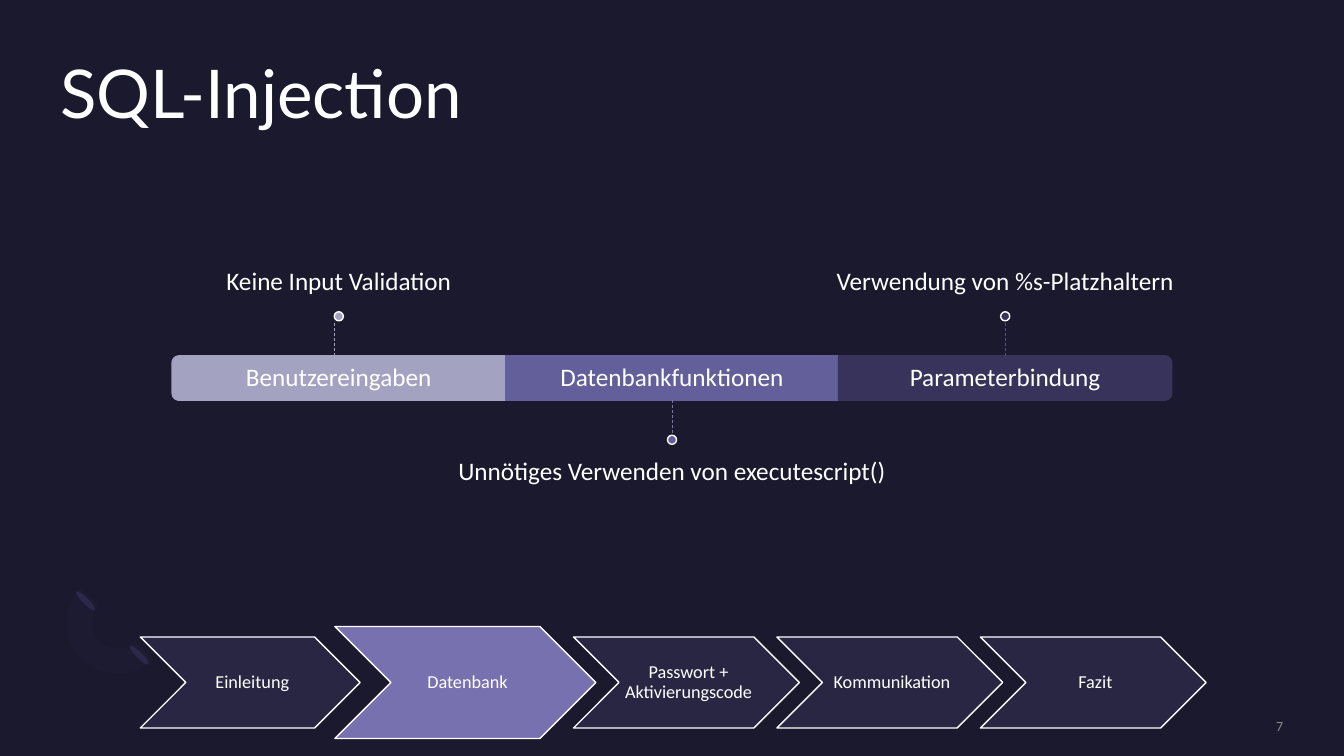
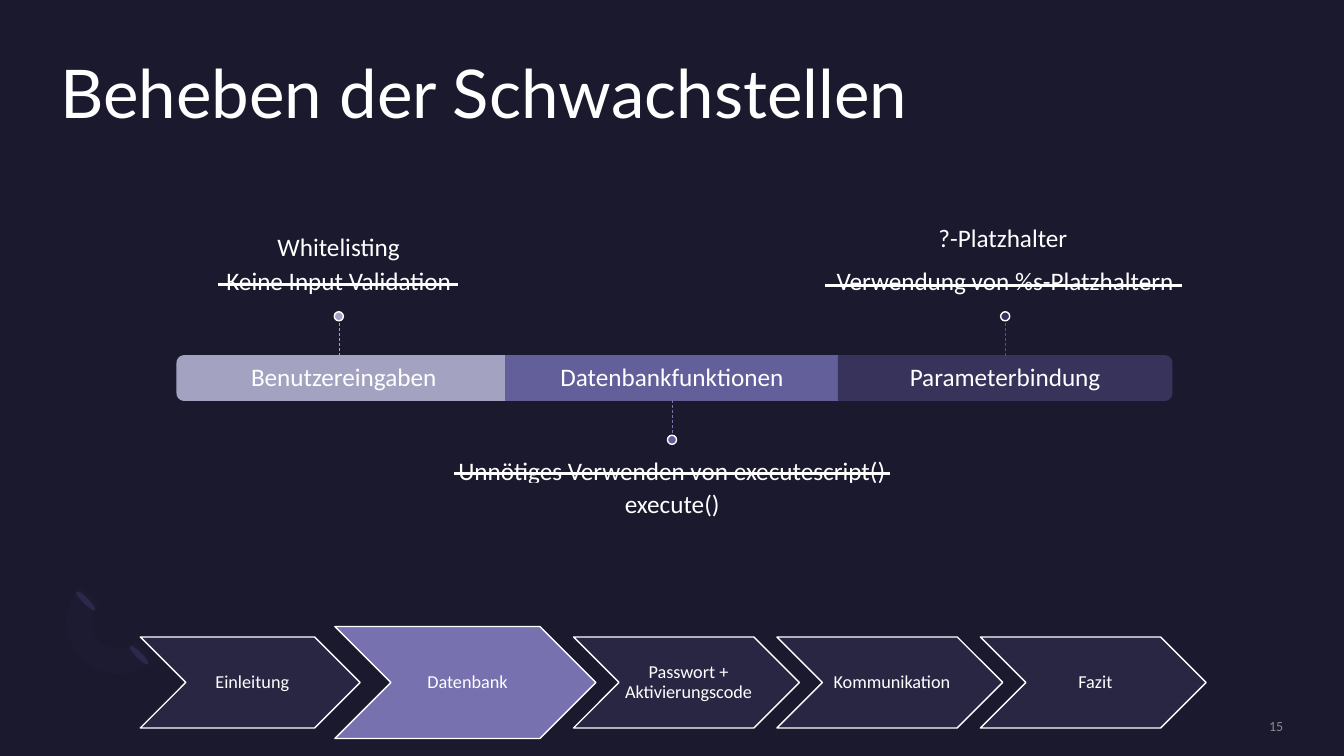
import math

import lxml.etree
import pptx
import pptx.dml.color
import pptx.enum.dml
import pptx.enum.shapes
import pptx.enum.text
import pptx.oxml.ns
import pptx.util

Pt = pptx.util.Pt
SHAPE = pptx.enum.shapes.MSO_SHAPE
ANCHOR = pptx.enum.text.MSO_ANCHOR
ALIGN = pptx.enum.text.PP_ALIGN

COLOURS = {
    "background": "1B192E", "white": "FFFFFF", "number": "8A8A8D",
    "petal": "2C284A", "arc": "1D1B31",
    "stage": "292644", "current": "7871B0",
    "input": "A3A3C1", "database": "625F9A", "binding": "37335B",
    "input stem": "A3A3C1", "database stem": "7775A8", "binding stem": "535086",
}
BAR_LEFT, BAR_TOP, BAR_WIDTH, BAR_HEIGHT, CORNER = 123, 254.2, 238, 31.7, 5
LABEL_WIDTH, LABEL_HEIGHT = 396, 109.4
STEM_LENGTH, DOT_SIZE = 25, 6.5
STAGE_LEFT, STAGE_MIDDLE = 100.2, 487.5

SEGMENTS = [
    {"key": "input", "text": "Benutzereingaben", "label": "Keine Input Validation",
     "above": True, "round": "left", "stem_shift": -3},
    {"key": "database", "text": "Datenbankfunktionen",
     "label": "Unnötiges Verwenden von executescript()",
     "above": False, "round": None, "stem_shift": 0},
    {"key": "binding", "text": "Parameterbindung",
     "label": "Verwendung von %s-Platzhaltern",
     "above": True, "round": "right", "stem_shift": 0},
]
STAGES = [
    ("Einleitung", 157, 18), ("Datenbank", 186.5, 16),
    ("Passwort + Aktivierungscode", 161.3, 16), ("Kommunikation", 161.3, 16),
    ("Fazit", 161.3, 16),
]
CURRENT_STAGE = "Datenbank"
FIXES = [
    ("Whitelisting", (126.7, 161.3, 230.4, 28.8)),
    ("execute()", (296.6, 344.9, 367.2, 28.8)),
    ("?-Platzhalter", (532.8, 155.5, 367.2, 28.8)),
]
STRIKES = [(156, 327, 203), (324, 636, 338.4), (589, 844, 203.8)]


def colour(name):
    """Return the named colour."""
    return pptx.dml.color.RGBColor.from_string(COLOURS[name])


def apply(target, formats):
    """Set each attribute of the target from a dict."""
    for name, value in formats.items():
        setattr(target, name, value)


def paint(shape, fill, line=None):
    """Give a shape a flat fill and an optional one-point line."""
    shape.shadow.inherit = False
    shape.fill.solid()
    shape.fill.fore_color.rgb = colour(fill)
    if line:
        shape.line.color.rgb = colour(line)
        shape.line.width = Pt(1)
    else:
        shape.line.fill.background()


def write(shape, text, size=18, font="Calibri", ink="white", align=ALIGN.CENTER,
          anchor=ANCHOR.MIDDLE, insets=(0, 0, 0, 0), spacing=0.9):
    """Fill a shape with one formatted paragraph."""
    frame = shape.text_frame
    frame.text = text
    sides = ("margin_left", "margin_top", "margin_right", "margin_bottom")
    apply(frame, dict(zip(sides, map(Pt, insets))))
    apply(frame, {"word_wrap": True, "vertical_anchor": anchor,
                  "auto_size": pptx.enum.text.MSO_AUTO_SIZE.NONE})
    paragraph = frame.paragraphs[0]
    apply(paragraph, {"alignment": align, "line_spacing": spacing})
    run = paragraph.runs[0]
    apply(run.font, {"name": font, "size": Pt(size), "bold": False})
    run.font.color.rgb = colour(ink)


def add_preset(slide, kind, box, fill, line=None):
    """Add a painted preset shape."""
    shape = slide.shapes.add_shape(kind, *map(Pt, box))
    paint(shape, fill, line)
    return shape


def add_text(slide, box, text, **formats):
    """Add a text box."""
    write(slide.shapes.add_textbox(*map(Pt, box)), text, **formats)


def add_line(slide, ends, ink, width, dash=None):
    """Add a straight connector without a shadow."""
    line = slide.shapes.add_connector(
        pptx.enum.shapes.MSO_CONNECTOR.STRAIGHT, *map(Pt, ends))
    line.line.color.rgb = colour(ink)
    apply(line.line, {"width": Pt(width), "dash_style": dash})
    properties = line._element.spPr
    lxml.etree.SubElement(properties, pptx.oxml.ns.qn("a:effectLst"))
    return line


def add_ornament(slide):
    """Add the faint ring and its two petals."""
    ring = add_preset(slide, SHAPE.BLOCK_ARC, (47.5, 408.6, 72.7, 72.7), "arc")
    ring.rotation = 225
    for left, top in ((97.2, 458.6), (59, 419.8)):
        petal = add_preset(slide, SHAPE.OVAL, (left, top, 4.3, 18.7), "petal")
        petal.rotation = 135


def add_title(slide, text):
    """Place and format the title placeholder."""
    title = slide.shapes.title
    apply(title, {"left": Pt(43.2), "top": Pt(43.2),
                  "width": Pt(873.4), "height": Pt(105)})
    write(title, text, size=48, font="Lato", align=ALIGN.LEFT, anchor=ANCHOR.TOP)


def bar_outline(left, rounded):
    """Return the outline of a bar with the corners of one side rounded."""
    right, bottom = left + BAR_WIDTH, BAR_TOP + BAR_HEIGHT
    corners = [(left, BAR_TOP, 1, 1, 180, "left"),
               (right, BAR_TOP, -1, 1, 270, "right"),
               (right, bottom, -1, -1, 0, "right"),
               (left, bottom, 1, -1, 90, "left")]
    points = []
    for x, y, inward_x, inward_y, start, side in corners:
        radius = CORNER if side == rounded else 0
        for degrees in range(start, start + 91, 15) if radius else (start,):
            angle = math.radians(degrees)
            points.append((Pt(x + radius * (inward_x + math.cos(angle))),
                           Pt(y + radius * (inward_y + math.sin(angle)))))
    return points


def add_bar(slide, left, segment):
    """Add one segment of the bar."""
    if segment["round"]:
        points = bar_outline(left, segment["round"])
        builder = slide.shapes.build_freeform(*points[0], scale=1.0)
        builder.add_line_segments(points[1:], close=True)
        bar = builder.convert_to_shape()
        paint(bar, segment["key"], segment["key"])
    else:
        box = (left, BAR_TOP, BAR_WIDTH, BAR_HEIGHT)
        bar = add_preset(slide, SHAPE.RECTANGLE, box, segment["key"], segment["key"])
    write(bar, segment["text"])
    return bar


def add_segment(slide, index, segment, shift):
    """Add a bar segment with its label, stem and dot."""
    left = BAR_LEFT + index * BAR_WIDTH
    middle = left + BAR_WIDTH / 2
    bar = add_bar(slide, left + shift, segment)
    if segment["above"]:
        edge, tip = BAR_TOP, BAR_TOP - STEM_LENGTH
        label_top, dot_top = 113, tip - DOT_SIZE
        formats = {"anchor": ANCHOR.BOTTOM, "insets": (0, 0, 0, 10.8)}
    else:
        edge = BAR_TOP + BAR_HEIGHT
        tip = dot_top = edge + STEM_LENGTH
        label_top = 316.8
        formats = {"anchor": ANCHOR.TOP, "insets": (0, 10.8, 0, 0)}
    label_box = (middle - LABEL_WIDTH / 2, label_top, LABEL_WIDTH, LABEL_HEIGHT)
    add_text(slide, label_box, segment["label"], **formats)
    stem_x = middle + shift + segment["stem_shift"]
    stem = add_line(slide, (stem_x, edge, stem_x, tip), segment["key"] + " stem", 0.5,
                    pptx.enum.dml.MSO_LINE.DASH)
    if not segment["round"]:
        stem.begin_connect(bar, 2)
    dot_box = (middle - DOT_SIZE / 2, dot_top, DOT_SIZE, DOT_SIZE)
    add_preset(slide, SHAPE.OVAL, dot_box, segment["key"], "white")


def add_stages(slide):
    """Add the row of chevrons with the current one enlarged."""
    left = STAGE_LEFT
    for text, width, overlap in STAGES:
        current = text == CURRENT_STAGE
        height = 80 if current else 65
        box = (left, STAGE_MIDDLE - height / 2, width, height)
        chevron = add_preset(slide, SHAPE.CHEVRON, box,
                             "current" if current else "stage", "white")
        write(chevron, text, size=13, insets=(4.3, 1.4, 1.4, 1.4))
        left += width - overlap


def add_fixes(slide):
    """Add the replacements and strike out the flaws."""
    for text, box in FIXES:
        patch = add_preset(slide, SHAPE.RECTANGLE, box, "background")
        write(patch, text, insets=(7.2, 3.6, 7.2, 3.6), spacing=1.0)
    for start, end, y in STRIKES:
        add_line(slide, (start, y, end, y), "white", 2)


def add_slide(presentation, title, number, shift=0):
    """Add a slide with everything the slides share."""
    slide = presentation.slides.add_slide(presentation.slide_layouts[5])
    add_ornament(slide)
    add_title(slide, title)
    add_text(slide, (783.4, 512.6, 133.2, 12.2), number, size=10, ink="number",
             align=ALIGN.RIGHT, spacing=1.0)
    for index, segment in enumerate(SEGMENTS):
        add_segment(slide, index, segment, 0 if index else shift)
    add_stages(slide)
    return slide


def main():
    """Build and save the presentation."""
    presentation = pptx.Presentation()
    apply(presentation, {"slide_width": Pt(960), "slide_height": Pt(540)})
    background = presentation.slide_master.background.fill
    background.solid()
    background.fore_color.rgb = colour("background")
    add_slide(presentation, "SQL-Injection", "7")
    add_fixes(add_slide(presentation, "Beheben der Schwachstellen", "15", shift=3.6))
    presentation.save("out.pptx")


if __name__ == "__main__":
    main()
